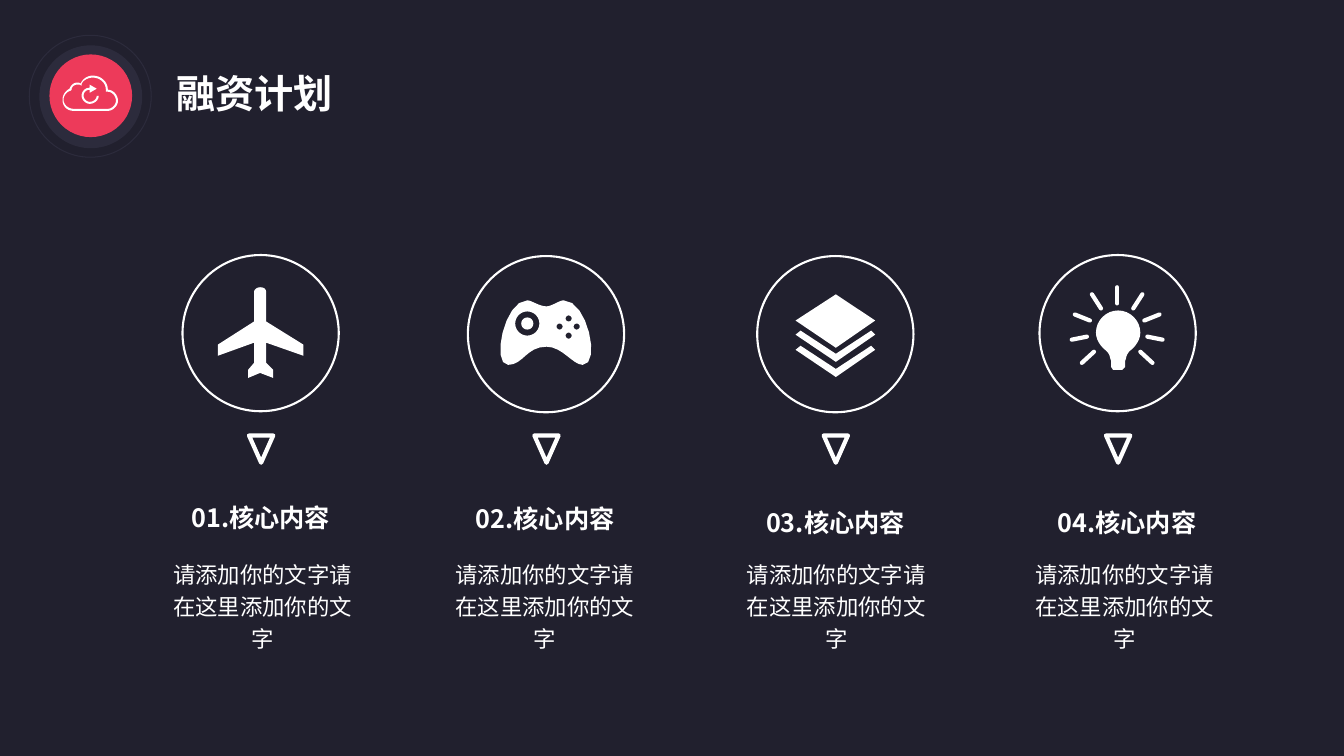
from dataclasses import dataclass
from math import cos, pi, sin

from lxml.etree import SubElement
from pptx import Presentation
from pptx.dml.color import RGBColor
from pptx.enum.shapes import MSO_CONNECTOR, MSO_SHAPE
from pptx.enum.text import MSO_ANCHOR, MSO_AUTO_SIZE, PP_ALIGN
from pptx.oxml.ns import qn
from pptx.util import Pt

PX = 9144

CLOUD = (
    "M 107 89; C 107 81 100 75 92 75 87 75 82 78 80 83 79 82 78 82 76 82 73 82 70 85 69 88"
    " 65 90 62 94 62 99 62 105 66 110 73 110; L 107 110; C 112 110 117 105 117 100 117 94 112 89 107 89;"
    "M 107 108; L 73 108; C 68 108 63 104 63 99 63 95 66 91 70 90; L 71 89; C 71 86 74 84 76 84"
    " 77 84 78 84 79 84; L 81 85 81 83; C 83 79 88 77 92 77 99 77 105 82 105 89; L 105 91 107 91;"
    "C 111 91 115 95 115 100 115 104 111 108 107 108"
)
RELOAD = (
    "M 89 101; C 86 101 83 98 83 95 83 91 86 89 89 89; L 89 92 96 88 89 84 89 87;"
    "C 85 87 81 90 81 95 81 99 85 103 89 103 94 103 98 99 98 95; L 96 95; C 96 98 93 101 89 101"
)
PLANE = (
    "M 258 285; C 262 285 264 287 264 290; L 264 319 301 342 301 353 264 340 264 360 271 367 271 375"
    " 258 370 246 375 246 367 252 360 252 340 216 353 216 342 252 319 252 290; C 252 287 255 285 258 285"
)
GAMEPAD = (
    "M 559 298; C 555 298 547 304 542 304 535 304 527 298 523 298 500 298 487 362 504 362"
    " 519 362 522 344 542 344 558 344 568 362 578 362 596 362 583 298 559 298;"
    "O 523 321 12; O 523 321 6; O 555 324 3; O 564 333 3; O 564 316 3; O 572 324 3"
)
LAYERS = (
    "M 868 318 829 292 789 318 829 345;"
    "M 829 351 794 328 789 332 829 359 868 332 864 328;"
    "M 829 366 794 343 789 347 829 374 868 347 864 343"
)
BULB = (
    "M 1109 308; C 1097 308 1087 318 1087 330 1087 340 1096 347 1096 347 1099 349 1101 353 1101 355;"
    "L 1102 358 1102 364 1104 367 1113 367 1116 364 1116 358 1117 355;"
    "C 1117 353 1119 349 1122 347 1122 347 1131 340 1131 330 1131 318 1121 308 1109 308"
)
RAYS = [(1124, 306, 1133, 292), (1135, 318, 1150, 312), (1138, 334, 1153, 337), (1131, 349, 1143, 360)]
MID = 1108

COLUMNS = [
    (181, 253, 180, 493, 241, 153, PLANE),
    (464, 254, 462, 494, 231, 433, GAMEPAD),
    (751, 254, 750, 498, 227, 722, LAYERS),
    (1031, 253, 1039, 498, 227, 1008, BULB),
]


@dataclass(frozen=True)
class Theme:
    font: str = "Noto Sans CJK SC"
    back: str = "21202E"
    halo: str = "2C2B3C"
    badge: str = "ED3A5A"
    white: str = "FFFFFF"
    title: int = 28
    head: int = 18
    body: int = 16


def color(code):
    return RGBColor.from_string(code)


def bend(start, first, second, end, steps=8):
    """Return points along a cubic curve, without its start."""
    spots = []
    for step in range(1, steps + 1):
        t = step / steps
        parts = ((1 - t) ** 3, 3 * t * (1 - t) ** 2, 3 * t * t * (1 - t), t ** 3)
        pairs = zip(start, first, second, end)
        spots.append(tuple(sum(p * v for p, v in zip(parts, axis)) for axis in pairs))
    return spots


def loops(outline):
    """Turn move, line, curve and circle steps into closed loops of points."""
    found = []
    for step in outline.split(";"):
        kind, *words = step.split()
        nums = [int(word) for word in words]
        spots = list(zip(nums[::2], nums[1::2]))
        if kind == "M":
            found.append(spots)
        elif kind == "L":
            found[-1] += spots
        elif kind == "C":
            for i in range(0, len(spots), 3):
                found[-1] += bend(found[-1][-1], *spots[i:i + 3])
        else:
            x, y, r = nums
            turns = [2 * pi * i / 24 for i in range(24)]
            found.append([(x + r * cos(a), y + r * sin(a)) for a in turns])
    return found


class Canvas:
    """Draw styled elements on the current slide."""

    def __init__(self, slide, theme):
        self.slide = slide
        self.shapes = slide.shapes
        self.theme = theme
        slide.background.fill.solid()
        slide.background.fill.fore_color.rgb = color(theme.back)

    def paint(self, shape, fill=None, line=None, width=1):
        shape.shadow.inherit = False
        if fill:
            shape.fill.solid()
            shape.fill.fore_color.rgb = color(fill)
        else:
            shape.fill.background()
        if line:
            shape.line.color.rgb = color(line)
            shape.line.width = Pt(width)
        else:
            shape.line.fill.background()
        return shape

    def form(self, kind, x, y, w, h, **style):
        return self.paint(self.shapes.add_shape(kind, x * PX, y * PX, w * PX, h * PX), **style)

    def icon(self, outline):
        pen = None
        for loop in loops(outline):
            spots = [(x * PX, y * PX) for x, y in loop]
            if pen is None:
                pen = self.shapes.build_freeform(*spots[0])
            else:
                pen.move_to(*spots[0])
            pen.add_line_segments(spots[1:], close=True)
        self.paint(pen.convert_to_shape(), fill=self.theme.white)

    def ray(self, *ends):
        ray = self.shapes.add_connector(MSO_CONNECTOR.STRAIGHT, *(v * PX for v in ends))
        ray.line.color.rgb = color(self.theme.white)
        ray.line.width = Pt(3)
        ray.get_or_add_ln().set("cap", "rnd")
        SubElement(ray._element.spPr, qn("a:effectLst"))

    def letter(self, box, text, size, bold=False, align=PP_ALIGN.LEFT, space=1.0):
        frame = box.text_frame
        frame.word_wrap = True
        frame.auto_size = MSO_AUTO_SIZE.NONE
        frame.text = text
        para = frame.paragraphs[0]
        para.alignment = align
        para.line_spacing = space
        font = para.font
        font.name = self.theme.font
        font.size = Pt(size)
        font.bold = bold
        font.color.rgb = color(self.theme.white)
        SubElement(para._p.pPr.find(qn("a:defRPr")), qn("a:ea"), typeface=self.theme.font)

    def title(self, text, x, y, w, h):
        box = self.shapes.title
        box.left, box.top, box.width, box.height = x * PX, y * PX, w * PX, h * PX
        self.letter(box, text, self.theme.title, bold=True)
        box.text_frame.vertical_anchor = MSO_ANCHOR.MIDDLE

    def label(self, text, x, y, w, h, size, **style):
        box = self.shapes.add_textbox(x * PX, y * PX, w * PX, h * PX)
        self.letter(box, text, size, **style)


def main():
    deck = Presentation()
    deck.slide_width, deck.slide_height = 1333 * PX, 750 * PX
    theme = Theme()
    page = Canvas(deck.slides.add_slide(deck.slide_layouts[5]), theme)

    page.form(MSO_SHAPE.OVAL, 29, 35, 121, 121, line=theme.halo, width=0.75)
    page.form(MSO_SHAPE.OVAL, 39, 45, 102, 102, fill=theme.halo)
    page.form(MSO_SHAPE.OVAL, 49, 54, 82, 82, fill=theme.badge)
    page.title("融资计划", 165, 64, 230, 57)
    page.icon(CLOUD)
    page.icon(RELOAD)

    for num, (ring, top, head, drop, wide, body, icon) in enumerate(COLUMNS, 1):
        page.form(MSO_SHAPE.OVAL, ring, top, 155, 155, line=theme.white, width=1.5)
        page.icon(icon)
        mark = page.form(MSO_SHAPE.ISOSCELES_TRIANGLE, ring + 66, 432, 24, 27, line=theme.white, width=3)
        mark.rotation = 180
        page.label(f"{num:02}.核心内容", head, drop, wide, 55, theme.head, bold=True)
        page.label("请添加你的文字请在这里添加你的文字", body, 546, 215, 106, theme.body,
                   align=PP_ALIGN.CENTER, space=1.2)

    page.ray(MID, 285, MID, 301)
    for x1, y1, x2, y2 in RAYS:
        page.ray(x1, y1, x2, y2)
        page.ray(2 * MID - x1, y1, 2 * MID - x2, y2)

    deck.save("out.pptx")


if __name__ == "__main__":
    main()
